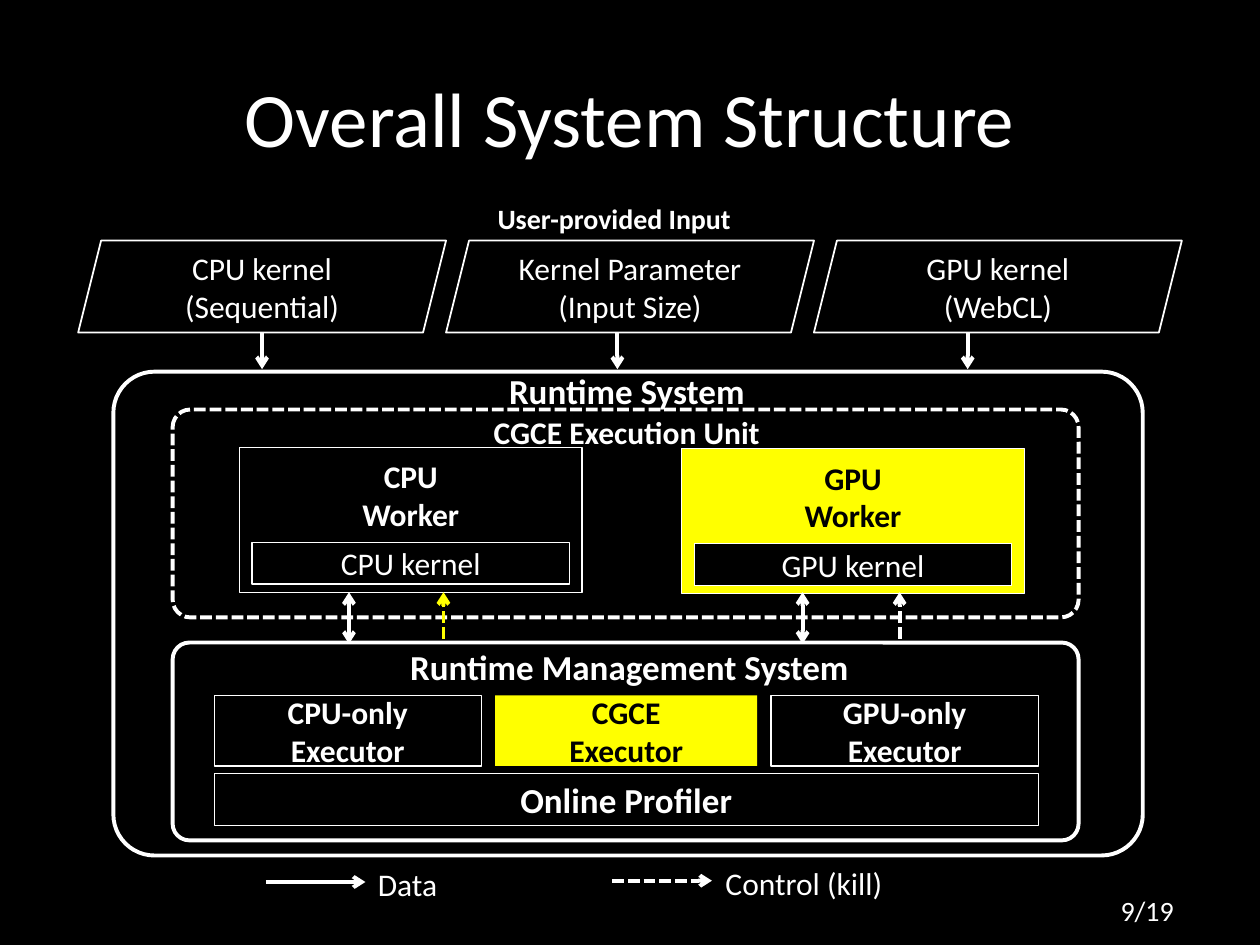
"""Build the slide on the overall structure of the CPU and GPU runtime system."""
from dataclasses import dataclass
from typing import NamedTuple, Optional

from pptx import Presentation
from pptx.dml.color import RGBColor
from pptx.enum.dml import MSO_LINE
from pptx.enum.shapes import MSO_CONNECTOR, MSO_SHAPE
from pptx.enum.text import MSO_ANCHOR, PP_ALIGN
from pptx.oxml.ns import qn
from pptx.shapes.autoshape import Shape
from pptx.slide import Slide
from pptx.util import Inches, Pt
from lxml.etree import SubElement

COLUMNS, ROWS = 100, 75
CELL = Inches(0.1)


@dataclass(frozen=True)
class Theme:
    black: RGBColor = RGBColor(0, 0, 0)
    white: RGBColor = RGBColor(255, 255, 255)
    yellow: RGBColor = RGBColor(255, 255, 0)
    font: str = "Calibri"
    title: int = 44
    heading: int = 20
    body: int = 18
    small: int = 16
    thick: float = 2.25
    medium: float = 1
    thin: float = 0.75


THEME = Theme()


class Area(NamedTuple):
    column: float
    row: float
    columns: float
    rows: float

    def lengths(self) -> list[int]:
        return [round(cells * CELL) for cells in self]


@dataclass(frozen=True)
class Caption:
    text: str
    size: int = THEME.body
    bold: bool = False
    color: RGBColor = THEME.white
    align: PP_ALIGN = PP_ALIGN.CENTER
    anchor: MSO_ANCHOR = MSO_ANCHOR.MIDDLE


@dataclass(frozen=True)
class Box:
    area: Area
    caption: Optional[Caption] = None
    preset: MSO_SHAPE = MSO_SHAPE.RECTANGLE
    fill: Optional[RGBColor] = None
    weight: float = THEME.thin
    dashed: bool = False


@dataclass(frozen=True)
class Arrow:
    start: tuple[float, float]
    end: tuple[float, float]
    color: RGBColor = THEME.white
    dashed: bool = False
    both_ways: bool = False


def write(shape: Shape, caption: Caption) -> None:
    """Put a formatted caption into a shape."""
    frame = shape.text_frame
    frame.word_wrap = True
    frame.vertical_anchor = caption.anchor
    if caption.align == PP_ALIGN.CENTER:
        frame.margin_left = frame.margin_right = 0
    frame.text = caption.text
    for paragraph in frame.paragraphs:
        paragraph.alignment = caption.align
        paragraph.font.name = THEME.font
        paragraph.font.size = Pt(caption.size)
        paragraph.font.bold = caption.bold
        paragraph.font.color.rgb = caption.color


def draw_box(slide: Slide, box: Box) -> None:
    """Draw an outlined box with its optional fill and caption."""
    shape = slide.shapes.add_shape(box.preset, *box.area.lengths())
    shape.shadow.inherit = False
    if box.preset == MSO_SHAPE.ROUNDED_RECTANGLE:
        shape.adjustments[0] = 0.085
    if box.fill is None:
        shape.fill.background()
    else:
        shape.fill.solid()
        shape.fill.fore_color.rgb = box.fill
    if box.weight:
        shape.line.color.rgb = THEME.white
        shape.line.width = Pt(box.weight)
    else:
        shape.line.fill.background()
    if box.dashed:
        shape.line.dash_style = MSO_LINE.SQUARE_DOT
    if box.caption:
        write(shape, box.caption)


def draw_label(slide: Slide, area: Area, caption: Caption) -> None:
    """Draw a caption that has no outline."""
    write(slide.shapes.add_textbox(*area.lengths()), caption)


def draw_arrow(slide: Slide, arrow: Arrow) -> None:
    """Draw an open-headed arrow."""
    ends = [round(cells * CELL) for cells in (*arrow.start, *arrow.end)]
    connector = slide.shapes.add_connector(MSO_CONNECTOR.STRAIGHT, *ends)
    connector.line.color.rgb = arrow.color
    connector.line.width = Pt(THEME.thick)
    if arrow.dashed:
        connector.line.dash_style = MSO_LINE.SQUARE_DOT
    properties = connector.element.spPr
    outline = properties.find(qn("a:ln"))
    for tip in ("a:headEnd", "a:tailEnd") if arrow.both_ways else ("a:tailEnd",):
        SubElement(outline, qn(tip), type="arrow")
    SubElement(properties, qn("a:effectLst"))


def draw_inputs(slide: Slide) -> None:
    """Draw the user-provided inputs and their arrows into the runtime."""
    inputs = (("CPU kernel\n(Sequential)", 20.8), ("Kernel Parameter\n(Input Size)", 49),
              ("GPU kernel\n(WebCL)", 76.8))
    width = 29.2
    for index, (text, arrow_column) in enumerate(inputs):
        area = Area(6.2 + index * width, 19.1, width, 7.3)
        draw_box(slide, Box(area, Caption(text), MSO_SHAPE.PARALLELOGRAM, weight=THEME.medium))
        draw_arrow(slide, Arrow((arrow_column, 26.4), (arrow_column, 29.3)))
    draw_label(slide, Area(33.2, 15.5, 31.1, 3.7),
               Caption("User-provided Input", THEME.small, True, anchor=MSO_ANCHOR.TOP))


def draw_worker(slide: Slide, processor: str, column: float, row: float,
                fill: Optional[RGBColor], color: RGBColor) -> None:
    """Draw a worker holding its kernel."""
    draw_box(slide, Box(Area(column, row, 27.2, 11.5), fill=fill))
    draw_label(slide, Area(column + 1, row + 0.5, 25.2, 6.6),
               Caption(f"{processor}\nWorker", bold=True, color=color))
    draw_box(slide, Box(Area(column + 1, row + 7.55, 25.2, 3.3),
                        Caption(f"{processor} kernel"), fill=THEME.black))


def draw_runtime(slide: Slide) -> None:
    """Draw the runtime system with its execution unit and management system."""
    rounded = MSO_SHAPE.ROUNDED_RECTANGLE
    for area, dashed in ((Area(9, 29.5, 81.7, 38.4), False), (Area(13.7, 32.5, 71.9, 16.5), True),
                         (Area(13.7, 51, 71.9, 15.7), False)):
        draw_box(slide, Box(area, preset=rounded, weight=THEME.thick, dashed=dashed))
    for text, size, area in (("Runtime System", THEME.heading, Area(12.9, 28.8, 73.7, 5.1)),
                             ("CGCE Execution Unit", THEME.body, Area(17.8, 32.3, 63.9, 4.7)),
                             ("Runtime Management System", THEME.heading,
                              Area(31.4, 50.7, 37.1, 4.4))):
        draw_label(slide, area, Caption(text, size, True, anchor=MSO_ANCHOR.TOP))
    draw_worker(slide, "CPU", 19, 35.5, None, THEME.white)
    draw_worker(slide, "GPU", 54.1, 35.6, THEME.yellow, THEME.black)
    for name, column, width, fill, color, weight in (
            ("CPU-only", 17, 21.2, THEME.black, THEME.white, THEME.thin),
            ("CGCE", 39.3, 20.8, THEME.yellow, THEME.black, 0),
            ("GPU-only", 61.2, 21.2, THEME.black, THEME.white, THEME.thin)):
        draw_box(slide, Box(Area(column, 55.2, width, 5.6),
                            Caption(f"{name}\nExecutor", bold=True, color=color),
                            fill=fill, weight=weight))
    draw_box(slide, Box(Area(17, 61.4, 65.4, 4.1),
                        Caption("Online Profiler", THEME.heading, True), fill=THEME.black))
    for data_column, control_column, color in ((27.7, 35.2, THEME.yellow),
                                               (63.7, 71.4, THEME.white)):
        draw_arrow(slide, Arrow((data_column, 47), (data_column, 51.1), both_ways=True))
        draw_arrow(slide, Arrow((control_column, 50.7), (control_column, 47), color, True))


def draw_legend(slide: Slide) -> None:
    """Draw the key to the two arrow styles."""
    for text, column, row, gap, dashed in (("Data", 21.1, 70, 7.9, False),
                                           ("Control (kill)", 48.6, 69.9, 8, True)):
        draw_arrow(slide, Arrow((column, row), (column + 7.9, row), dashed=dashed))
        draw_label(slide, Area(column + gap, row - 1.8, 20, 4.7),
                   Caption(text, align=PP_ALIGN.LEFT, anchor=MSO_ANCHOR.TOP))


def main() -> None:
    """Build and save the slide."""
    deck = Presentation()
    deck.slide_width, deck.slide_height = COLUMNS * CELL, ROWS * CELL
    slide = deck.slides.add_slide(deck.slide_layouts[5])
    slide.background.fill.solid()
    slide.background.fill.fore_color.rgb = THEME.black
    title = slide.shapes.title
    title.left, title.top, title.width, title.height = Area(5, 3, 90, 12.5).lengths()
    write(title, Caption("Overall System Structure", THEME.title))
    draw_inputs(slide)
    draw_runtime(slide)
    draw_legend(slide)
    draw_label(slide, Area(82.1, 70.4, 17.9, 3.7),
               Caption("9/19", THEME.small, anchor=MSO_ANCHOR.TOP))
    deck.save("out.pptx")


if __name__ == "__main__":
    main()
